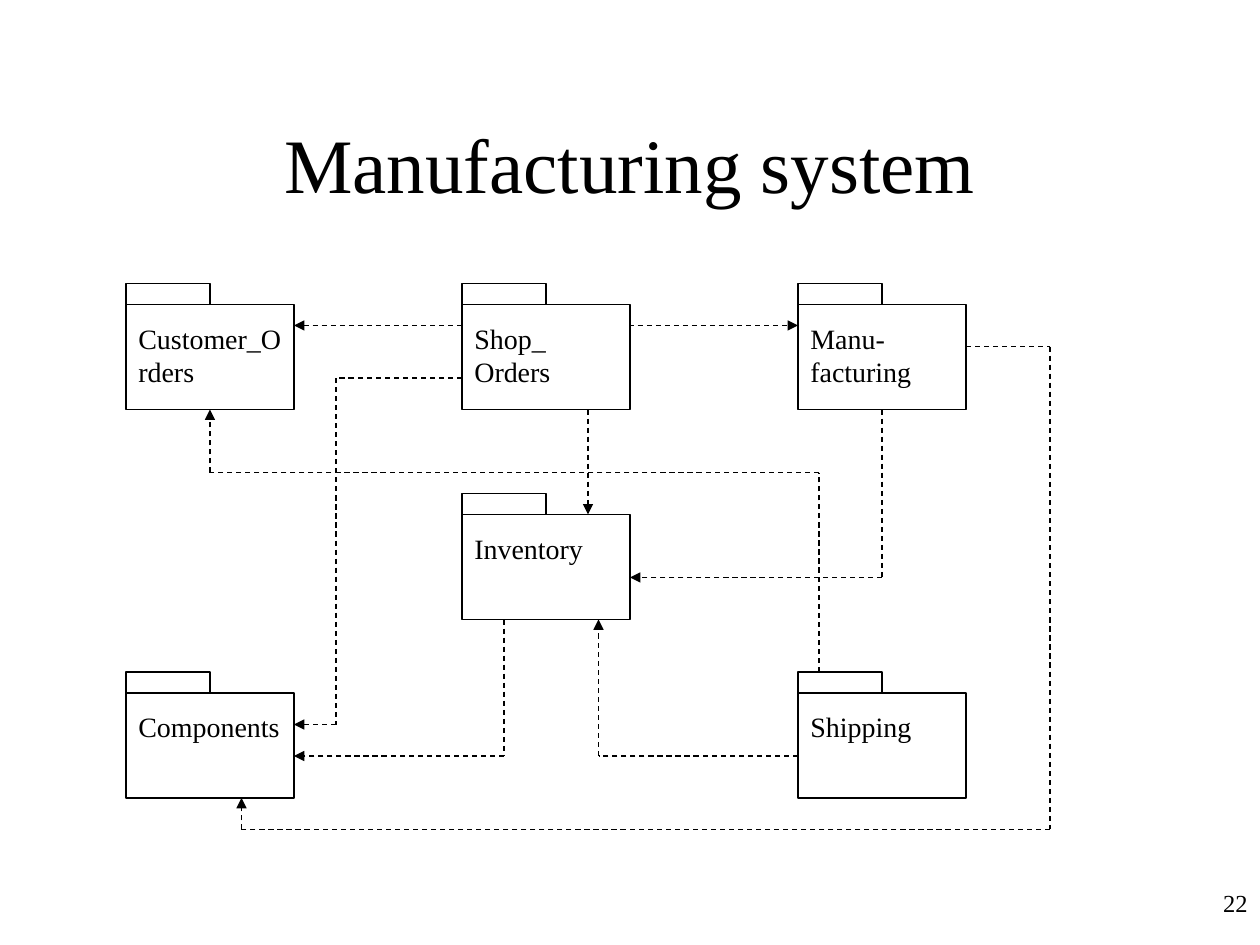
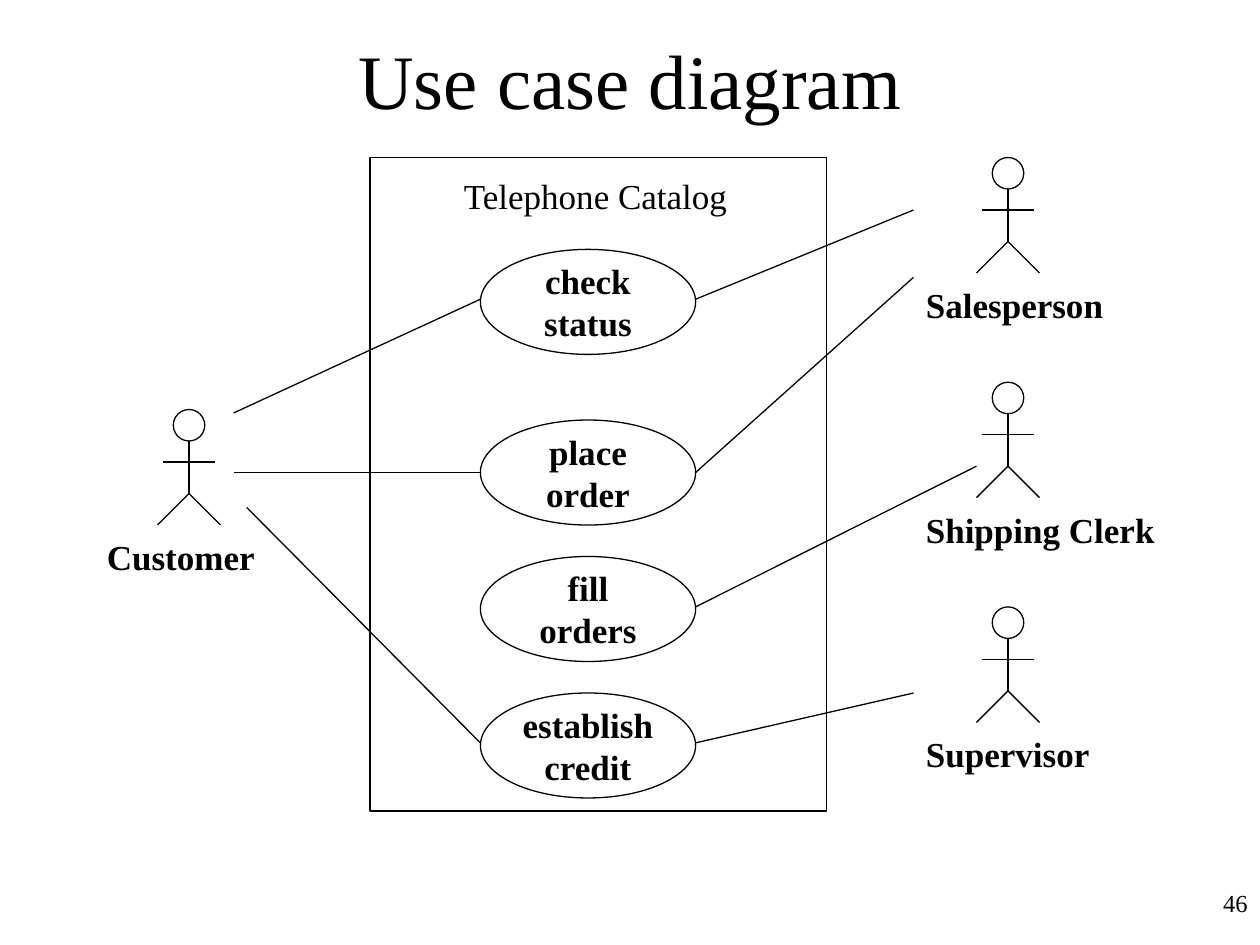
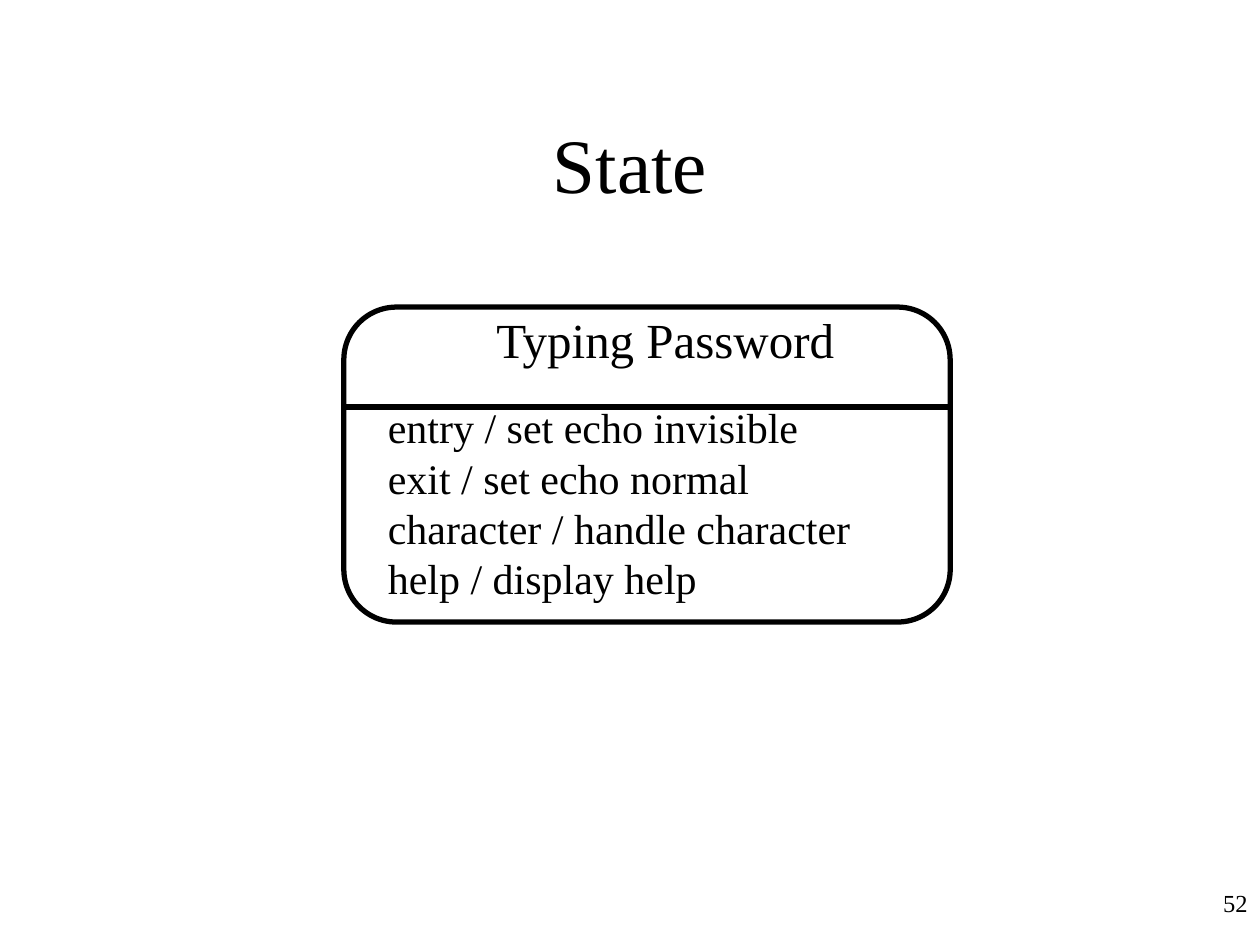
from itertools import pairwise

from pptx import Presentation
from pptx.dml.color import RGBColor
from pptx.enum.dml import MSO_LINE
from pptx.enum.shapes import MSO_CONNECTOR, MSO_SHAPE
from pptx.enum.text import MSO_ANCHOR, PP_ALIGN
from pptx.oxml.ns import qn
from pptx.util import Pt
from lxml import etree

RECT, OVAL, ROUND = MSO_SHAPE.RECTANGLE, MSO_SHAPE.OVAL, MSO_SHAPE.ROUNDED_RECTANGLE
STRAIGHT, DASH = MSO_CONNECTOR.STRAIGHT, MSO_LINE.DASH
LEFT, CENTER, RIGHT = PP_ALIGN.LEFT, PP_ALIGN.CENTER, PP_ALIGN.RIGHT
TOP, MIDDLE = MSO_ANCHOR.TOP, MSO_ANCHOR.MIDDLE

FONT = "Times New Roman"
INK, PAPER = "000000", "FFFFFF"
THIN, THICK = 0.75, 3
TITLE_ONLY = 5

PACKAGE_W, PACKAGE_H, TAB_W, TAB_H = 96, 60, 48, 12
COLUMNS = (72, 264, 456)
CASE_LEFT, CASE_RIGHT, CASE_H = 274.5, 397.5, 60


def rgb(color):
    return RGBColor.from_string(color)


def write(tf, text, size=16, bold=False, align=LEFT, anchor=TOP, wrap=True):
    """Fill a text frame, one paragraph per line of text."""
    tf.word_wrap, tf.vertical_anchor = wrap, anchor
    tf.text = text
    for p in tf.paragraphs:
        p.alignment = align
        p.font.name, p.font.size, p.font.bold = FONT, Pt(size), bold
        p.font.color.rgb = rgb(INK)


def add_text(shapes, text, x, y, w, h, **fmt):
    write(shapes.add_textbox(Pt(x), Pt(y), Pt(w), Pt(h)).text_frame, text, **fmt)


def add_box(shapes, kind, x, y, w, h, weight=THIN):
    sp = shapes.add_shape(kind, Pt(x), Pt(y), Pt(w), Pt(h))
    sp.shadow.inherit = False
    sp.fill.solid()
    sp.fill.fore_color.rgb = rgb(PAPER)
    sp.line.color.rgb = rgb(INK)
    sp.line.width = Pt(weight)
    return sp


def add_line(shapes, start, end, weight=THIN, dash=None, arrows=()):
    """Draw a straight line; arrows names its pointed ends, headEnd or tailEnd."""
    cx = shapes.add_connector(STRAIGHT, *(Pt(v) for v in (*start, *end)))
    cx.line.color.rgb = rgb(INK)
    cx.line.width = Pt(weight)
    if dash:
        cx.line.dash_style = dash
    for name in arrows:
        etree.SubElement(cx.line._get_or_add_ln(), qn(f"a:{name}"), type="triangle")
    etree.SubElement(cx._element.spPr, qn("a:effectLst"))


def add_dependency(shapes, *points):
    """Draw a dashed route through the points with an arrow at its end."""
    for start, end in pairwise(points):
        arrows = ("tailEnd",) if end == points[-1] else ()
        add_line(shapes, start, end, dash=DASH, arrows=arrows)


def add_package(shapes, name, x, y):
    grp = shapes.add_group_shape().shapes
    add_box(grp, RECT, x, y + TAB_H, PACKAGE_W, PACKAGE_H)
    add_box(grp, RECT, x, y, TAB_W, TAB_H)
    add_text(grp, name, x, y + 18, PACKAGE_W, 46 if len(name) > 10 else 27)


def add_actor(shapes, name, x, y, label_w):
    """Draw a stick figure centred on x with its name below."""
    grp = shapes.add_group_shape().shapes
    hip = (x, y + 48)
    add_box(grp, OVAL, x - 9, y, 18, 18)
    add_line(grp, (x, y + 18), hip)
    add_line(grp, (x - 15, y + 30), (x + 15, y + 30))
    for foot in (x - 18, x + 18):
        add_line(grp, hip, (foot, y + 66))
    add_text(grp, name, x - 54, y + 68.4, label_w, 31.5, size=20, bold=True)


def add_slide(prs, title, number, title_top=48):
    s = prs.slides.add_slide(prs.slide_layouts[TITLE_ONLY])
    sp = s.shapes.title
    sp.left, sp.top, sp.width, sp.height = Pt(54), Pt(title_top), Pt(612), Pt(90)
    write(sp.text_frame, title, size=44, align=CENTER, anchor=MIDDLE)
    add_text(s.shapes, number, 570, 504, 150, 36, size=14, align=RIGHT)
    return s.shapes


def package_slide(prs):
    shapes = add_slide(prs, "Manufacturing system", "22")
    add_line(shapes, (168, 186), (456, 186), dash=DASH, arrows=("headEnd", "tailEnd"))
    left, middle, right = COLUMNS
    for name, x, y in (
        ("Customer_Orders", left, 162),
        ("Shop_\nOrders", middle, 162),
        ("Manu-facturing", right, 162),
        ("Inventory", middle, 282),
        ("Shipping", right, 384),
        ("Components", left, 384),
    ):
        add_package(shapes, name, x, y)
    for route in (
        ((264, 216), (192, 216), (192, 414), (168, 414)),
        ((336, 234), (336, 294)),
        ((288, 354), (288, 432), (168, 432)),
        ((456, 432), (342, 432), (342, 354)),
        ((552, 198), (600, 198), (600, 474), (138, 474), (138, 456)),
        ((504, 234), (504, 330), (360, 330)),
        ((468, 384), (468, 270), (120, 270), (120, 234)),
    ):
        add_dependency(shapes, *route)


def use_case_slide(prs):
    shapes = add_slide(prs, "Use case diagram", "46", title_top=0)
    add_box(shapes, RECT, 211.5, 90, 261, 373.5)
    add_text(shapes, "Telephone Catalog", 258, 96, 170, 31.5, size=20)
    for name, y in (
        ("check\nstatus", 142.5),
        ("place\norder", 240),
        ("fill\norders", 318),
        ("establish\ncredit", 396),
    ):
        sp = add_box(shapes, OVAL, CASE_LEFT, y, CASE_RIGHT - CASE_LEFT, CASE_H)
        write(sp.text_frame, name, size=20, bold=True, align=CENTER,
              anchor=MIDDLE, wrap=False)
    for name, x, y, label_w in (
        ("Customer", 108, 234, 102),
        ("Salesperson", 576, 90, 120),
        ("Shipping Clerk", 576, 218.4, 150),
        ("Supervisor", 576, 346.8, 112),
    ):
        add_actor(shapes, name, x, y, label_w)
    for case_x, case_y, actor_end in (
        (CASE_LEFT, 171, (133.5, 236)),
        (CASE_LEFT, 270, (133.5, 270)),
        (CASE_LEFT, 424.5, (141, 290)),
        (CASE_RIGHT, 171, (522, 120)),
        (CASE_RIGHT, 270, (522, 158.5)),
        (CASE_RIGHT, 346.8, (558, 266.4)),
        (CASE_RIGHT, 424.5, (522, 396)),
    ):
        add_line(shapes, (case_x, case_y), actor_end)


def state_slide(prs):
    shapes = add_slide(prs, "State", "52")
    state = add_box(shapes, ROUND, 196.5, 175.5, 346.5, 180, weight=THICK)
    state.adjustments[0] = 0.167
    add_line(shapes, (196.5, 232.5), (543, 232.5), weight=THICK)
    add_text(shapes, "Typing Password", 276.5, 173.2, 214, 41, size=28)
    actions = (
        "entry / set echo invisible",
        "exit / set echo normal",
        "character / handle character",
        "help / display help",
    )
    add_text(shapes, "\n".join(actions), 214.5, 226, 284, 122.5, size=24)


def main():
    prs = Presentation()
    prs.slide_width, prs.slide_height = Pt(720), Pt(540)
    package_slide(prs)
    use_case_slide(prs)
    state_slide(prs)
    prs.save("out.pptx")


if __name__ == "__main__":
    main()
